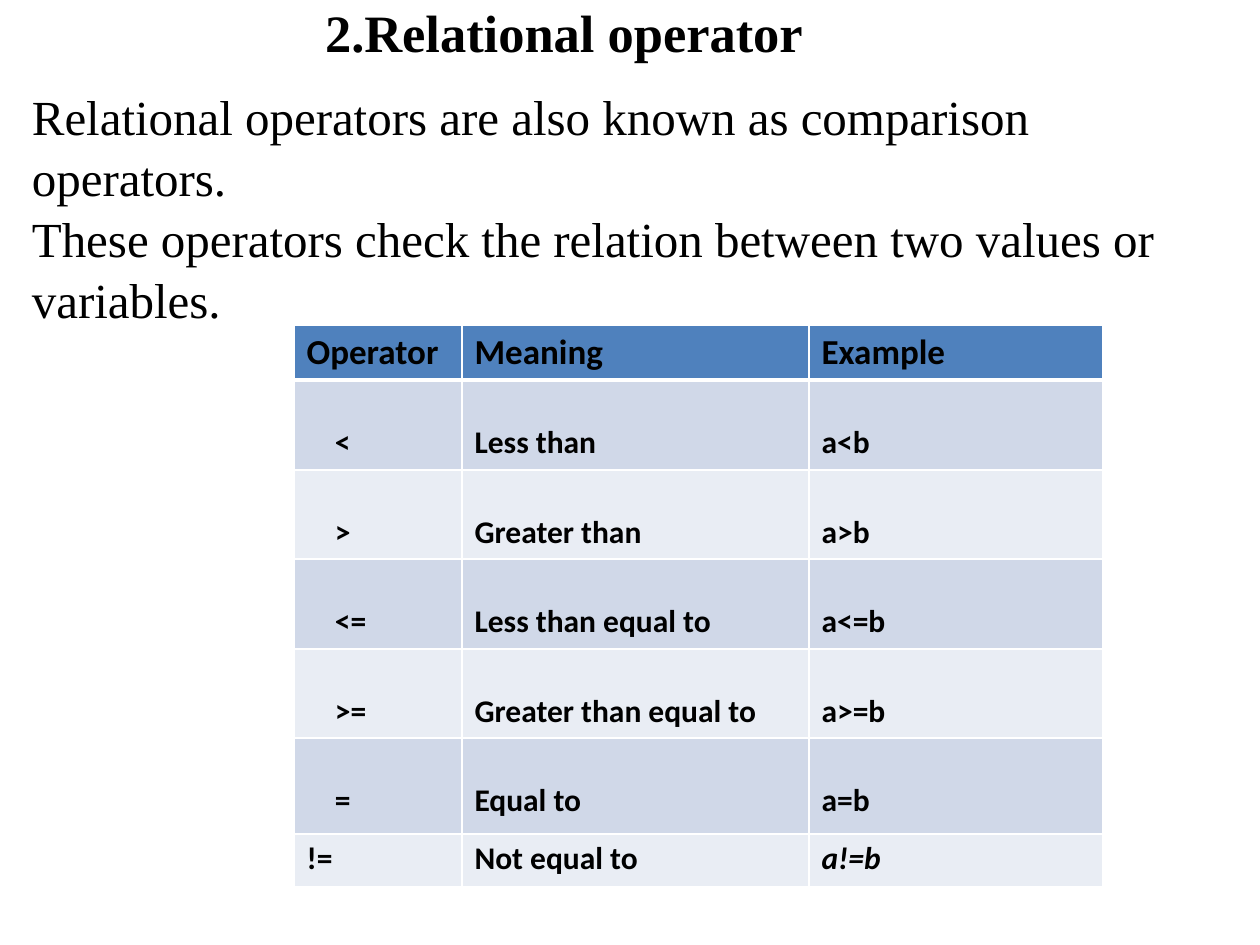
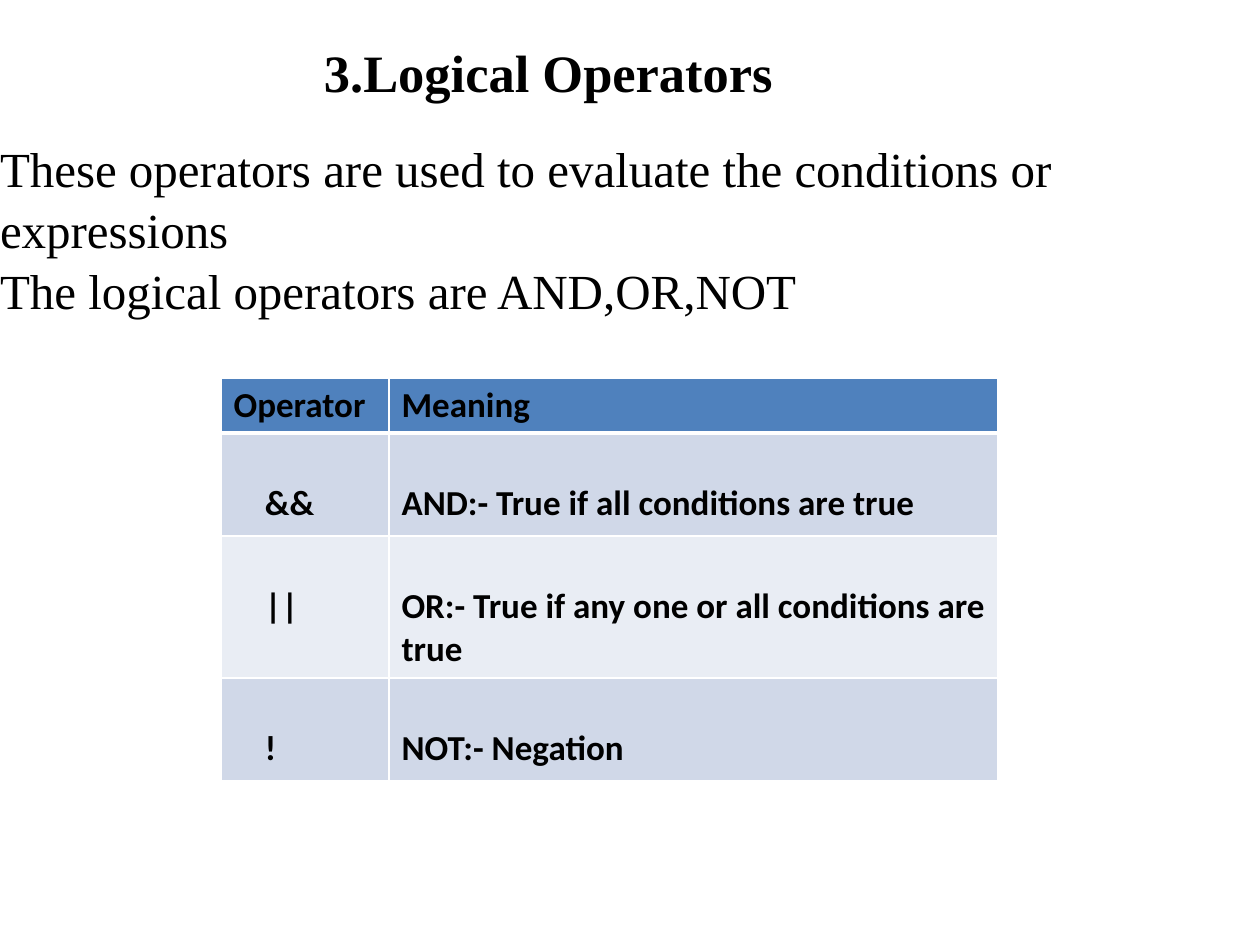
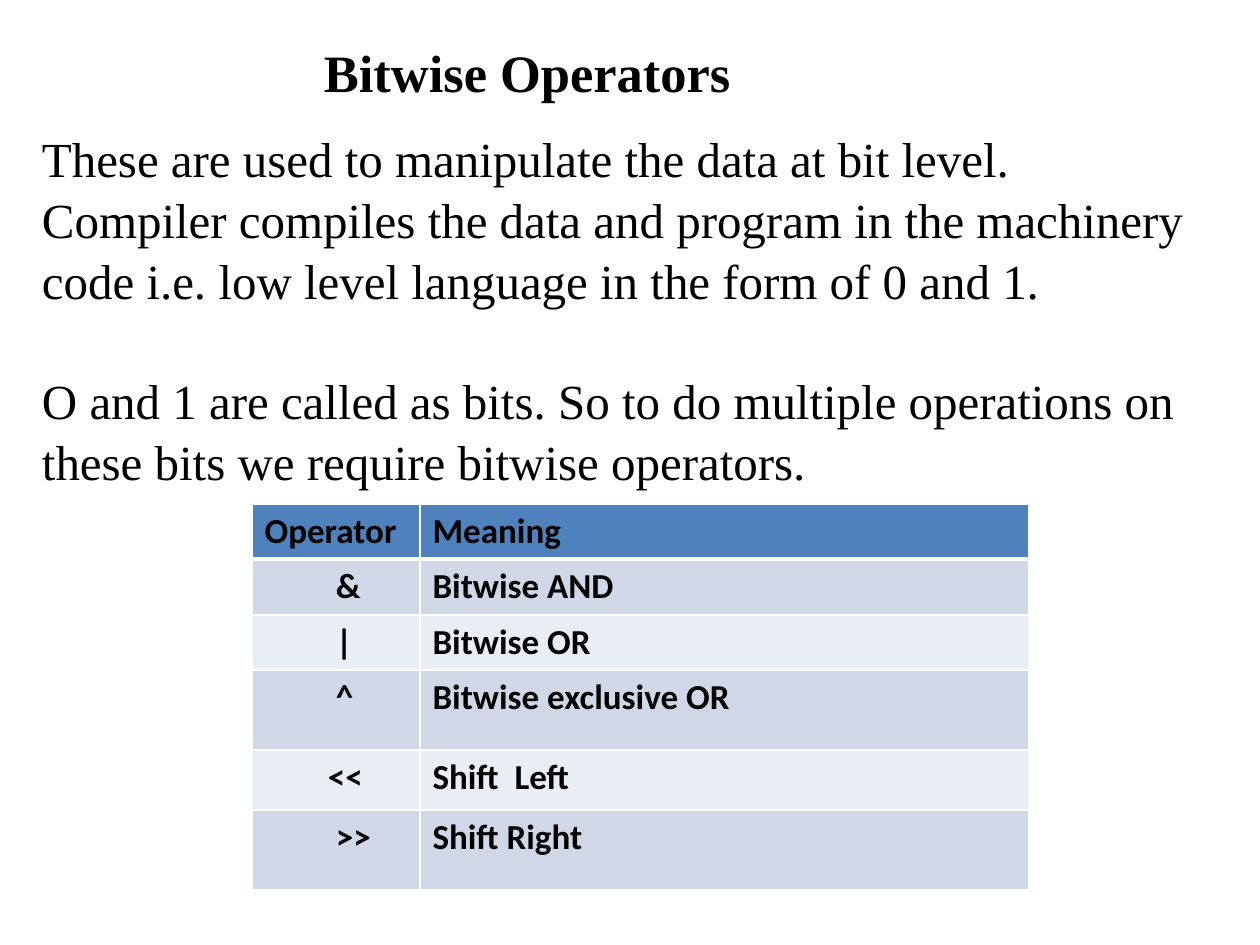
from dataclasses import dataclass

from lxml.etree import SubElement as Sub
from pptx import Presentation
from pptx.dml.color import RGBColor as RGB
from pptx.enum.text import MSO_ANCHOR as Anchor, MSO_AUTO_SIZE as Fit, PP_ALIGN as Align
from pptx.oxml import parse_xml
from pptx.oxml.ns import nsdecls, qn
from pptx.util import Pt


@dataclass(frozen=True)
class Theme:
    """Colours, fonts and type sizes of the deck."""
    ink: str = "000000"
    paper: str = "FFFFFF"
    head: str = "4F81BD"
    bands: tuple = ("D0D8E8", "E9EDF4")
    serif: str = "Times New Roman"
    sans: str = "Calibri"
    title: int = 30
    body: int = 28
    cell: int = 20
    small: int = 18
    lead: float = 1.045
    line: int = 1
    rule: int = 3


THEME = Theme()
SCALE = 914400 / 126


def px(n):
    """Turn px into EMU."""
    return round(n * SCALE)


def style(para, face, size, bold=False, slant=False):
    """Format every run of a paragraph."""
    for run in para.runs:
        font = run.font
        font.name, font.size = face, Pt(size)
        font.bold, font.italic = bold, slant
        font.color.rgb = RGB.from_string(THEME.ink)


def place(shape, left, top, width, height):
    """Set the position and size of a shape."""
    shape.left, shape.top = px(left), px(top)
    shape.width, shape.height = px(width), px(height)


def frame(shape):
    """Give a text shape no insets, wrapping and top anchoring."""
    text = shape.text_frame
    text.margin_left = text.margin_right = text.margin_top = text.margin_bottom = 0
    text.word_wrap = True
    text.vertical_anchor = Anchor.TOP
    text.auto_size = Fit.SHAPE_TO_FIT_TEXT
    return text


def add_title(slide, words, left, top):
    """Fill and format the title placeholder."""
    shape = slide.shapes.title
    place(shape, left, top, 614, 63)
    text = frame(shape)
    text.text = words
    para = text.paragraphs[0]
    para.alignment = Align.LEFT
    style(para, THEME.serif, THEME.title, bold=True)


def add_body(slide, lines, box, gap=0):
    """Add the paragraphs, with a gap before the last one."""
    text = frame(slide.shapes.add_textbox(*map(px, box)))
    text.text = "\n".join(lines)
    for para in text.paragraphs:
        para.line_spacing = THEME.lead
        style(para, THEME.serif, THEME.body)
    if gap:
        text.paragraphs[-1].space_before = px(gap)


def edge(cell, top, bottom):
    """Draw the four borders of a cell."""
    props = cell._tc.get_or_add_tcPr()
    sides = {"L": THEME.line, "R": THEME.line, "T": top, "B": bottom}
    for i, (side, width) in enumerate(sides.items()):
        line = parse_xml(f'<a:ln{side} {nsdecls("a")} w="{Pt(width)}"/>')
        fill = Sub(line, qn("a:solidFill"))
        Sub(fill, qn("a:srgbClr"), val=THEME.paper)
        props.insert(i, line)


def add_grid(slide, left, top, cols, rows, data, size=THEME.cell, drop=6, pads=()):
    """Add an operator table; pads indent the first column, drop lowers padded rows."""
    box = map(px, (left, top, sum(cols), sum(rows)))
    table = slide.shapes.add_table(len(rows), len(cols), *box).table
    for col, width in zip(table.columns, cols):
        col.width = px(width)
    for r, (row, height) in enumerate(zip(table.rows, rows)):
        row.height = px(height)
        pad = pads[r - 1] if 0 < r <= len(pads) else 0
        for c, cell in enumerate(row.cells):
            cell.text = data[r][c]
            para = cell.text_frame.paragraphs[0]
            slant = data[r][c] == "a!=b"
            style(para, THEME.sans, size if r else THEME.cell, True, slant)
            cell.margin_top = px(drop if pad else 6)
            if pad and c == 0:
                cell.margin_left = px(pad)
            cell.fill.solid()
            tint = THEME.bands[(r - 1) % 2] if r else THEME.head
            cell.fill.fore_color.rgb = RGB.from_string(tint)
            edge(cell, THEME.rule if r == 1 else THEME.line,
                 THEME.rule if r == 0 else THEME.line)


def relate(slide):
    """Build the relational operators slide."""
    add_title(slide, "2.Relational operator", 325, 0)
    add_body(slide, [
        "Relational operators are also known as comparison operators.",
        "These operators check the relation between two values or variables.",
    ], (32, 84, 1197, 809))
    add_grid(slide, 294, 325, (168, 347, 294), (55, 90, 89, 90, 89, 96, 53), [
        ("Operator", "Meaning", "Example"),
        ("<", "Less than", "a<b"),
        (">", "Greater than", "a>b"),
        ("<=", "Less than equal to", "a<=b"),
        (">=", "Greater than equal to", "a>=b"),
        ("=", "Equal to", "a=b"),
        ("!=", "Not equal to", "a!=b"),
    ], THEME.small, 44, [41] * 5)


def logic(slide):
    """Build the logical operators slide."""
    add_title(slide, "3.Logical Operators", 324, 40)
    add_body(slide, [
        "These operators are used to evaluate the conditions or expressions",
        "The logical operators are AND,OR,NOT",
    ], (0, 136, 1239, 178))
    add_grid(slide, 221, 378, (168, 609), (55, 103, 142, 103), [
        ("Operator", "Meaning"),
        ("&&", "AND:- True if all conditions are true"),
        ("||", "OR:- True if any one or all conditions are true"),
        ("!", "NOT:- Negation"),
    ], drop=49, pads=[44] * 3)


def bits(slide):
    """Build the bitwise operators slide."""
    add_title(slide, "Bitwise Operators", 324, 40)
    add_body(slide, [
        "These are used to manipulate the data at bit level.",
        "Compiler compiles the data and program in the machinery code "
        "i.e. low level language in the form of 0 and 1.",
        "O and 1 are called as bits. So to do multiple operations on these bits "
        "we require bitwise operators.",
    ], (42, 126, 1197, 475), gap=59)
    add_grid(slide, 252, 504, (168, 609), (55, 56, 55, 80, 60, 80), [
        ("Operator", "Meaning"),
        ("&", "Bitwise AND"),
        ("|", "Bitwise OR"),
        ("^", "Bitwise exclusive OR"),
        ("<<", "Shift  Left"),
        (">>", "Shift Right"),
    ], pads=(84, 84, 84, 76, 84))


def main():
    """Build and save the deck."""
    deck = Presentation()
    deck.slide_width, deck.slide_height = px(1260), px(945)
    for build in (relate, logic, bits):
        slide = deck.slides.add_slide(deck.slide_layouts[5])
        back = slide.background.fill
        back.solid()
        back.fore_color.rgb = RGB.from_string(THEME.paper)
        build(slide)
    deck.save("out.pptx")


if __name__ == "__main__":
    main()
